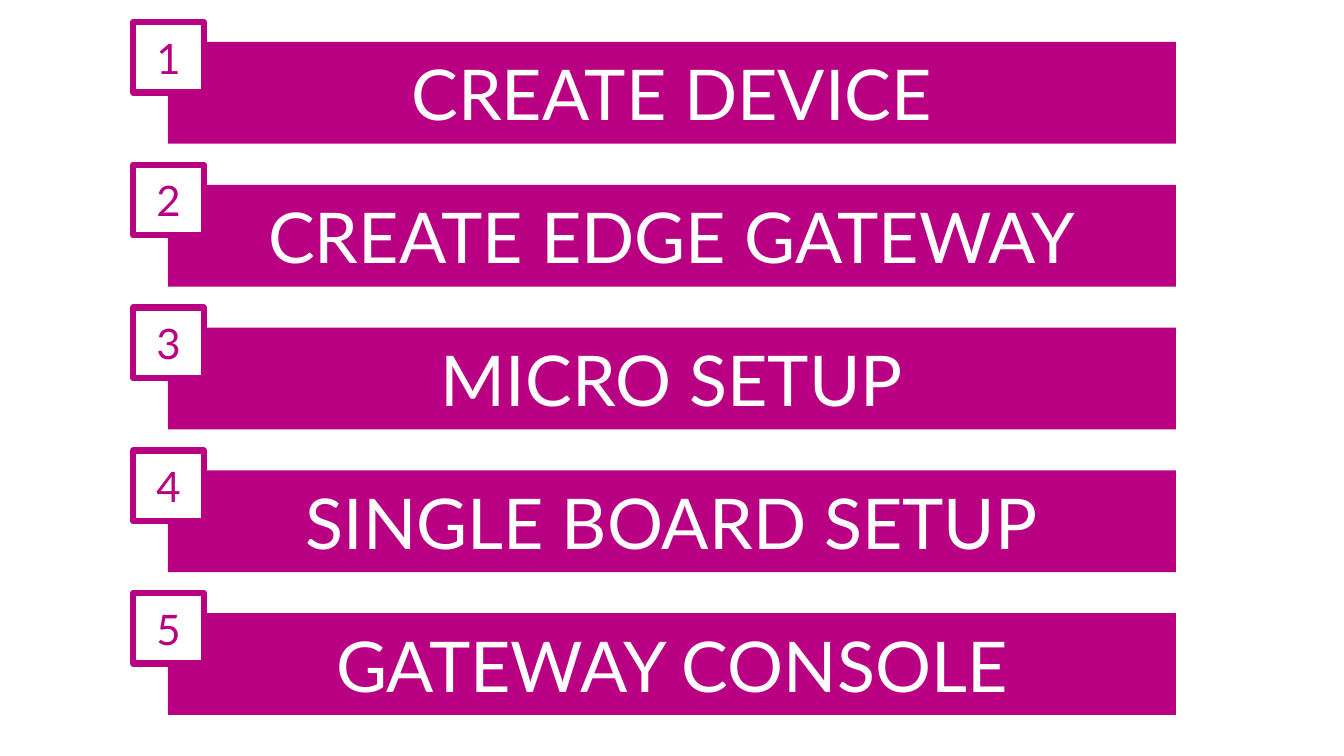
from dataclasses import dataclass

from pptx import Presentation
from pptx import util as u
from pptx.dml.color import RGBColor
from pptx.enum import shapes, text

EMU_PER_PX = 9525  # 96 px to the inch

STEPS = [
    "CREATE DEVICE",
    "CREATE EDGE GATEWAY",
    "MICRO SETUP",
    "SINGLE BOARD SETUP",
    "GATEWAY CONSOLE",
]

# Layout in px
SLIDE_WIDTH, SLIDE_HEIGHT = 1280, 720
STEP_PITCH = 136
BAR_LEFT, BAR_TOP, BAR_WIDTH, BAR_HEIGHT = 160, 40, 960, 97
BADGE_LEFT, BADGE_TOP, BADGE_SIZE = 127, 21, 67


@dataclass(frozen=True)
class Theme:
    accent: RGBColor = RGBColor(0xB9, 0x00, 0x83)
    light: RGBColor = RGBColor(0xFF, 0xFF, 0xFF)
    font: str = "Lato"
    step_size: int = 50
    badge_size: int = 30
    badge_line: float = 4.5


THEME = Theme()


def px(length):
    return u.Emu(length * EMU_PER_PX)


def write_text(shape, content, *, size, color):
    frame = shape.text_frame
    frame.word_wrap = True
    frame.vertical_anchor = text.MSO_ANCHOR.MIDDLE
    paragraph = frame.paragraphs[0]
    paragraph.alignment = text.PP_ALIGN.CENTER
    run = paragraph.add_run()
    run.text = content
    run.font.name = THEME.font
    run.font.size = u.Pt(size)
    run.font.color.rgb = color


def add_box(slide, left, top, width, height, *, fill, line=None):
    shape = slide.shapes.add_shape(
        shapes.MSO_SHAPE.RECTANGLE, px(left), px(top), px(width), px(height))
    shape.shadow.inherit = False
    shape.fill.solid()
    shape.fill.fore_color.rgb = fill
    if line is None:
        shape.line.fill.background()
    else:
        shape.line.color.rgb = line
        shape.line.width = u.Pt(THEME.badge_line)
    return shape


def add_step_bar(slide, index, title):
    bar = add_box(slide, BAR_LEFT, BAR_TOP + index * STEP_PITCH,
                  BAR_WIDTH, BAR_HEIGHT, fill=THEME.accent)
    write_text(bar, title, size=THEME.step_size, color=THEME.light)


def add_number_badge(slide, index):
    badge = add_box(slide, BADGE_LEFT, BADGE_TOP + index * STEP_PITCH,
                    BADGE_SIZE, BADGE_SIZE, fill=THEME.light, line=THEME.accent)
    write_text(badge, str(index + 1), size=THEME.badge_size, color=THEME.accent)


def main():
    presentation = Presentation()
    presentation.slide_width = px(SLIDE_WIDTH)
    presentation.slide_height = px(SLIDE_HEIGHT)
    slide = presentation.slides.add_slide(presentation.slide_layouts[6])

    # Step bars
    for index, title in enumerate(STEPS):
        add_step_bar(slide, index, title)

    # Number badges over the bar corners
    for index in range(len(STEPS)):
        add_number_badge(slide, index)

    presentation.save("out.pptx")


if __name__ == "__main__":
    main()
